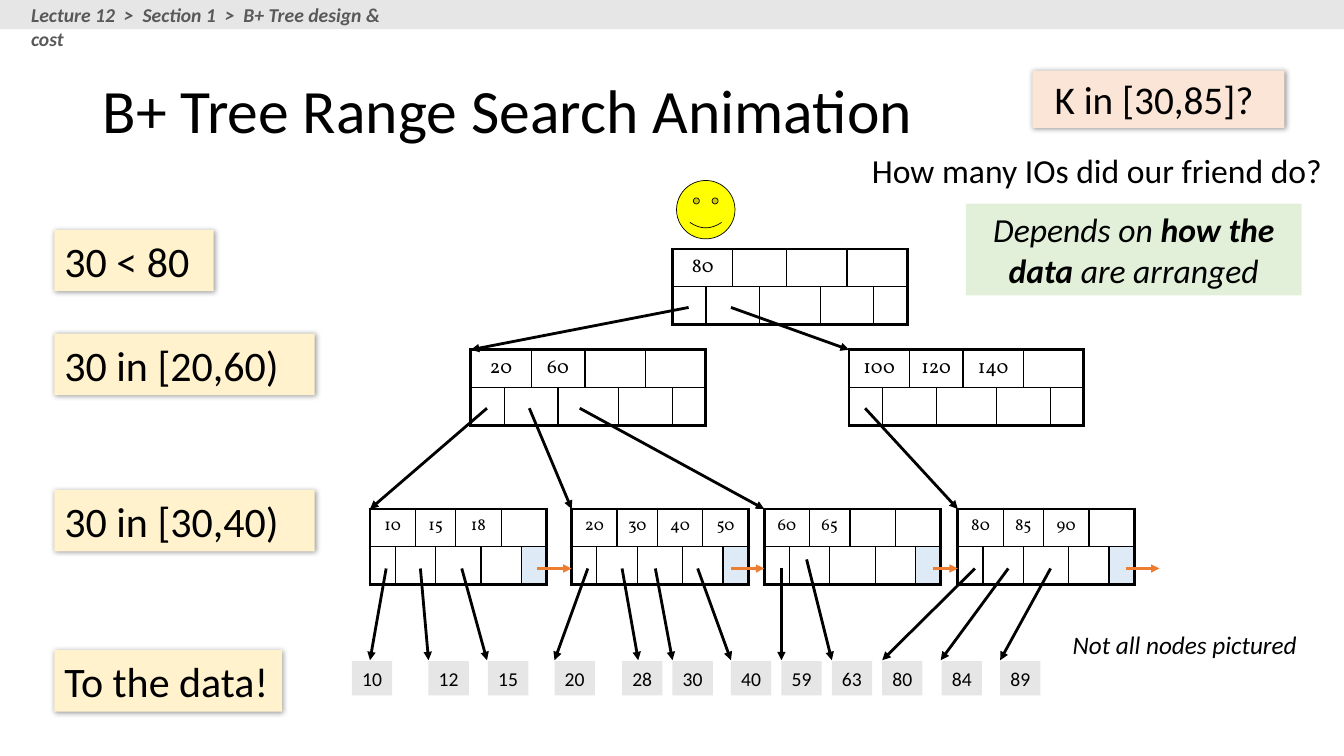
import pptx
import pptx.util
import pptx.dml.color
import pptx.enum.shapes
import pptx.enum.text
import pptx.oxml
import pptx.oxml.ns
import lxml.etree

Inches = pptx.util.Inches
Pt = pptx.util.Pt
RGBColor = pptx.dml.color.RGBColor
Shape = pptx.enum.shapes.MSO_SHAPE
Align = pptx.enum.text.PP_ALIGN
Anchor = pptx.enum.text.MSO_ANCHOR
qn = pptx.oxml.ns.qn

BLACK = RGBColor(0x00, 0x00, 0x00)
GRAY = RGBColor(0xE7, 0xE6, 0xE6)
SLATE = RGBColor(0x59, 0x59, 0x59)
BLUE = RGBColor(0xDE, 0xEB, 0xF7)
ORANGE = RGBColor(0xED, 0x7D, 0x31)
PEACH = RGBColor(0xFB, 0xE5, 0xD6)
CREAM = RGBColor(0xFF, 0xF2, 0xCC)
GREEN = RGBColor(0xE2, 0xF0, 0xD9)
YELLOW = RGBColor(0xFF, 0xFF, 0x00)

SHADE = (
    f'<a:effectLst {pptx.oxml.ns.nsdecls("a")}>'
    '<a:outerShdw blurRad="50800" dist="12700" dir="2700000" algn="tl" rotWithShape="0">'
    '<a:srgbClr val="000000"><a:alpha val="40000"/></a:srgbClr>'
    '</a:outerShdw></a:effectLst>'
)

deck = pptx.Presentation()
deck.slide_width = Inches(13.33)
deck.slide_height = Inches(7.5)
slide = deck.slides.add_slide(deck.slide_layouts[5])


def add_box(place, text="", size=14, fill=None, align=Align.CENTER, color=BLACK,
            bold=False, italic=False, wrap=True, shade=False, kind=Shape.RECTANGLE):
    lengths = [Inches(v) for v in place]
    if fill is None:
        box = slide.shapes.add_textbox(*lengths)
    else:
        box = slide.shapes.add_shape(kind, *lengths)
        box.fill.solid()
        box.fill.fore_color.rgb = fill
        box.line.fill.background()
        box.shadow.inherit = False
    if shade:
        props = box._element.spPr
        props.remove(props.find(qn("a:effectLst")))
        props.append(pptx.oxml.parse_xml(SHADE))
    frame = box.text_frame
    frame.word_wrap = wrap
    frame.vertical_anchor = Anchor.MIDDLE if fill is not None else Anchor.TOP
    frame.text = text
    frame.paragraphs[0].alignment = align
    for run in frame.paragraphs[0].runs:
        font = run.font
        font.name, font.size = "Calibri", Pt(size)
        font.bold, font.italic = bold, italic
        font.color.rgb = color
    return box


def add_arrow(x1, y1, x2, y2, color=BLACK):
    arrow = slide.shapes.add_connector(
        pptx.enum.shapes.MSO_CONNECTOR.STRAIGHT,
        Inches(x1), Inches(y1), Inches(x2), Inches(y2))
    arrow.line.color.rgb = color
    arrow.line.width = Pt(2)
    line = arrow.line._get_or_add_ln()
    lxml.etree.SubElement(line, qn("a:tailEnd"), type="triangle")
    lxml.etree.SubElement(arrow._element.spPr, qn("a:effectLst"))


title = slide.shapes.title
title.left, title.top = Inches(0.92), Inches(0.4)
title.width, title.height = Inches(11.5), Inches(1.45)
title.text_frame.text = "B+ Tree Range Search Animation"
title.text_frame.vertical_anchor = Anchor.MIDDLE
head = title.text_frame.paragraphs[0]
head.alignment = Align.LEFT
head.line_spacing = 0.9
head.runs[0].font.name = "Calibri"
head.runs[0].font.size = Pt(44)
head.runs[0].font.color.rgb = BLACK

nodes = [
    (6.67, 2.47, ["80"]),
    (4.67, 3.47, ["20", "60"]),
    (8.42, 3.47, ["100", "120", "140"]),
    (3.67, 5.05, ["10", "15", "18"]),
    (5.67, 5.05, ["20", "30", "40", "50"]),
    (7.58, 5.05, ["60", "65"]),
    (9.5, 5.05, ["80", "85", "90"]),
]
spans = [
    [(0, 1), (2, 3), (4, 5), (6, 7)],
    [(0, 0), (1, 2), (3, 4), (5, 6), (7, 7)],
]
for left, top, keys in nodes:
    leaf = top > 5
    width = 1.75 if leaf else 2.33
    table = slide.shapes.add_table(
        2, 8, Inches(left), Inches(top), Inches(width), Inches(0.75)).table
    table.first_row = table.horz_banding = False
    for col in range(8):
        table.columns[col].width = Inches(width * (5 if col in (0, 4, 7) else 4) / 35)
    for row, groups in enumerate(spans):
        for first, last in groups:
            edges = [("L", first == 0), ("R", last == 7), ("T", row == 0), ("B", row == 1)]
            for col in range(first, last + 1):
                cell = table.cell(row, col)
                cell.margin_left = cell.margin_right = Inches(0.02)
                cell.margin_top, cell.margin_bottom = Inches(0.05), 0
                props = cell._tc.get_or_add_tcPr()
                for side, outer in edges:
                    line = lxml.etree.SubElement(
                        props, qn("a:ln" + side), w=str(Pt(2.25 if outer else 1)))
                    paint = lxml.etree.SubElement(line, qn("a:solidFill"))
                    lxml.etree.SubElement(paint, qn("a:srgbClr"), val=str(BLACK))
                if leaf and row == 1 and col == 7:
                    cell.fill.solid()
                    cell.fill.fore_color.rgb = BLUE
                else:
                    cell.fill.background()
            if last > first:
                table.cell(row, first).merge(table.cell(row, last))
    for i, key in enumerate(keys):
        frame = table.cell(0, 2 * i).text_frame
        frame.text = key
        frame.paragraphs[0].alignment = Align.CENTER
        font = frame.paragraphs[0].runs[0].font
        font.name, font.size = "Vollkorn", Pt(12 if leaf else 14)
        font.color.rgb = BLACK

for ends in [(6.83, 3.05, 4.67, 3.47), (7.25, 3.05, 8.42, 3.47),
             (4.83, 4.05, 3.67, 5.05), (5.25, 4.05, 5.67, 5.05),
             (5.75, 4.05, 7.58, 5.05), (8.58, 4.05, 9.5, 5.05)]:
    add_arrow(*ends)
for start, end in [(5.33, 5.67), (7.25, 7.58), (9.25, 9.5), (11.17, 11.5)]:
    add_arrow(start, 5.64, end, 5.64, ORANGE)

records = [
    ("10", 3.49, 3.83, 3.67), ("12", 4.25, 4.17, 4.25), ("15", 4.84, 4.58, 4.83),
    ("20", 5.5, 5.83, 5.5), ("28", 6.17, 6.17, 6.33), ("30", 6.67, 6.5, 6.67),
    ("40", 7.25, 6.92, 7.25), ("59", 7.75, 7.75, 7.75), ("63", 8.25, 8, 8.25),
    ("80", 8.75, 9.67, 8.75), ("84", 9.34, 10, 9.33), ("89", 9.92, 10.42, 9.92),
]
for text, left, start, end in records:
    add_box((left, 6.56, 0.4, 0.34), text, fill=GRAY, wrap=False)
    add_arrow(start, 5.55 if text == "63" else 5.64, end, 6.55)

add_box((10.24, 0.7, 2.5, 0.57), "K in [30,85]? ", 28, PEACH, shade=True)
for text, top, width in [("30 < 80", 2.28, 1.58), ("30 in [20,60)", 3.31, 2.58),
                         ("30 in [30,40)", 4.86, 2.58), ("To the data!", 6.45, 2.26)]:
    add_box((0.54, top, width, 0.61), text, 30, CREAM, Align.LEFT, shade=True)
add_box((10.54, 6.19, 2.45, 0.4), "Not all nodes pictured", 18,
        align=Align.LEFT, italic=True, wrap=False)

face = add_box((6.71, 1.79, 0.58, 0.58), fill=YELLOW, kind=Shape.SMILEY_FACE)
face.line.color.rgb = BLACK
face.line.width = Pt(0.5)

add_box((0, 0, 13.33, 0.29), fill=GRAY)
add_box((0.21, -0.02, 3.97, 0.34), "Lecture 12  >  Section 1  >  B+ Tree design & cost",
        align=Align.LEFT, color=SLATE, bold=True, italic=True)
add_box((8.42, 1.44, 4.92, 0.5), "How many IOs did our friend do?", 24)

answer = add_box((9.58, 2.02, 3.33, 0.91), "Depends on ", 24, GREEN, italic=True)
for text, bold in [("how the data", True), (" are arranged", False)]:
    run = answer.text_frame.paragraphs[0].add_run()
    run.text = text
    run.font.name, run.font.size = "Calibri", Pt(24)
    run.font.bold, run.font.italic = bold, True
    run.font.color.rgb = BLACK

deck.save("out.pptx")
